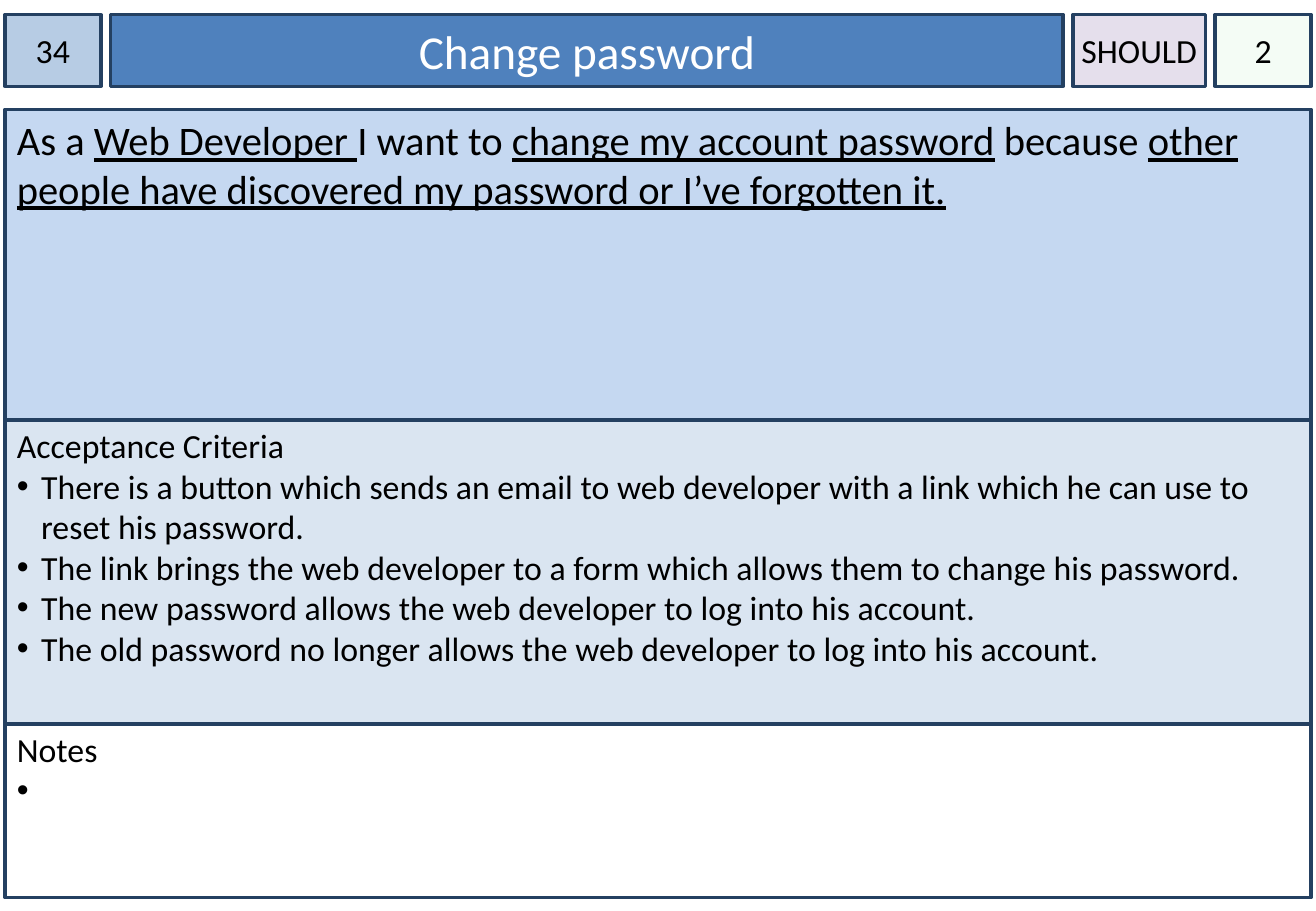
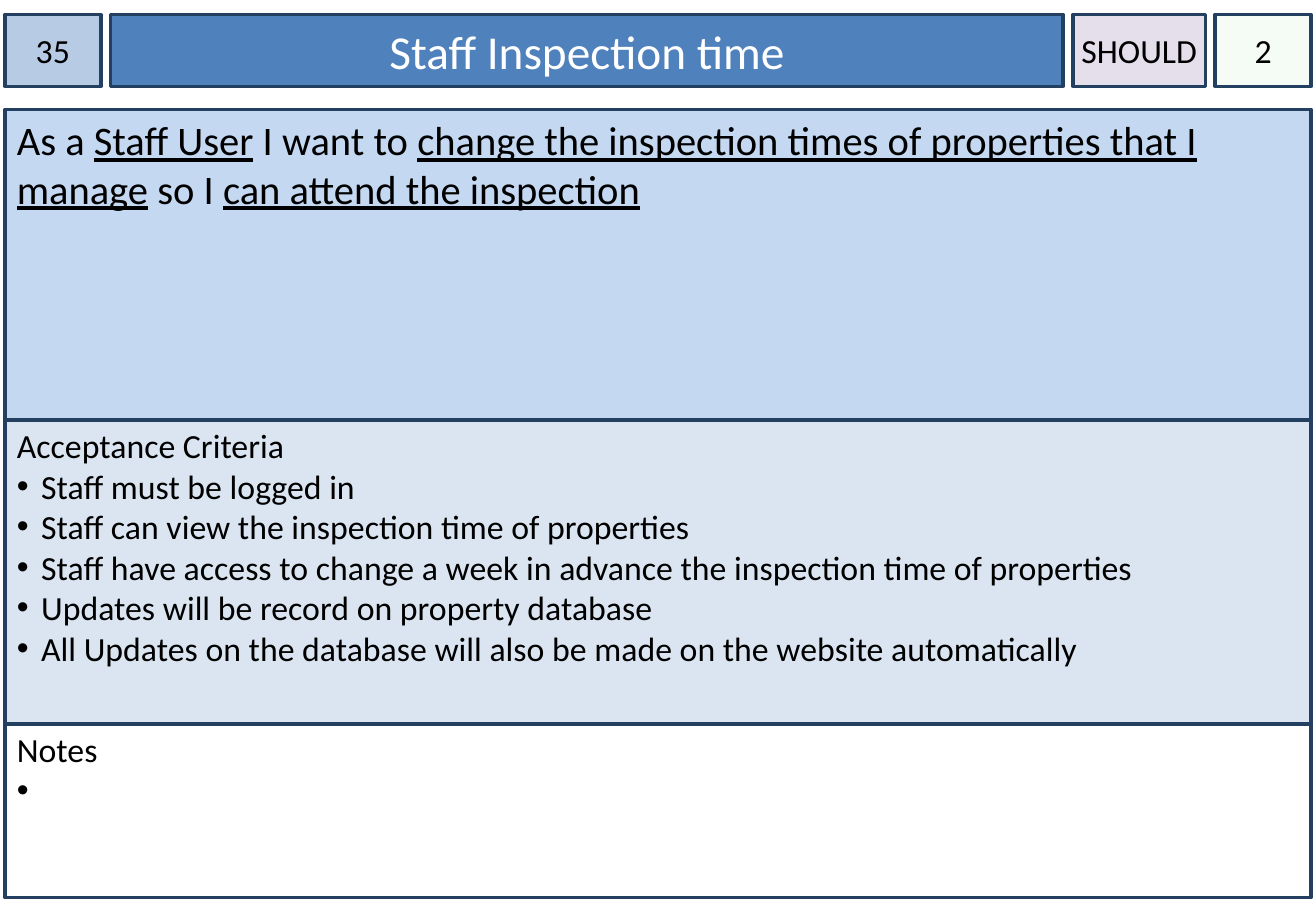
import pptx
import pptx.util
import pptx.dml.color
import pptx.enum.shapes
import pptx.enum.text
import pptx.oxml.ns
import lxml.etree

RGBColor = pptx.dml.color.RGBColor
BLACK = RGBColor(0x00, 0x00, 0x00)
WHITE = RGBColor(0xFF, 0xFF, 0xFF)
NAVY = RGBColor(0x24, 0x40, 0x61)
BLUE = RGBColor(0x4F, 0x81, 0xBD)
STEEL = RGBColor(0xB7, 0xCC, 0xE4)
SKY = RGBColor(0xC5, 0xD8, 0xF1)
PALE = RGBColor(0xDA, 0xE5, 0xF1)
LILAC = RGBColor(0xE5, 0xDF, 0xEC)
GREEN = RGBColor(0xCC, 0xF0, 0xCD)

FONT = "Calibri"
PX = 9144
EDGE, GAP = 4, 8
TOP, HIGH = 12, 59
BODY, WIDE = 90, 1075
PAD = 10

ALIGN = pptx.enum.text.PP_ALIGN
ANCHOR = pptx.enum.text.MSO_ANCHOR
qn = pptx.oxml.ns.qn

CARDS = [
    {
        "id": "34",
        "title": "Change password",
        "rank": "SHOULD",
        "points": "2",
        "story": ["As a ", "Web Developer ", "I want to ", "change my account password", " because ",
                  "other people have discovered my password or I’ve forgotten it."],
        "tests": ["There is a button which sends an email to web developer with a link "
                  "which he can use to reset his password.",
                  "The link brings the web developer to a form which allows them to change his password.",
                  "The new password allows the web developer to log into his account.",
                  "The old password no longer allows the web developer to log into his account."],
        "notes": [" "],
    },
    {
        "id": "35",
        "title": "Staff Inspection time",
        "rank": "SHOULD",
        "points": "2",
        "story": ["As a ", "Staff User", " I want to ",
                  "change the inspection times of properties that I manage", " so I ",
                  "can attend the inspection"],
        "tests": ["Staff must be logged in",
                  "Staff can view the inspection time of properties",
                  "Staff have access to change a week in advance the inspection time of properties",
                  "Updates will be record on property database",
                  "All Updates on the database will also be made on the website automatically"],
        "notes": [" "],
    },
]


def add_box(slide, left, top, width, height, fill, side, head, anchor):
    box = slide.shapes.add_shape(pptx.enum.shapes.MSO_SHAPE.RECTANGLE,
                                 left * PX, top * PX, width * PX, height * PX)
    box.shadow.inherit = False
    box.fill.solid()
    box.fill.fore_color.rgb = fill
    box.line.color.rgb = NAVY
    box.line.width = pptx.util.Pt(2)
    frame = box.text_frame
    frame.word_wrap = True
    frame.vertical_anchor = anchor
    frame.margin_left = frame.margin_right = side * PX
    frame.margin_top, frame.margin_bottom = head * PX, 5 * PX
    return box


def add_text(para, text, size, color=BLACK, align=ALIGN.LEFT, under=False):
    para.alignment = align
    run = para.add_run()
    run.text = text
    run.font.name = FONT
    run.font.size = pptx.util.Pt(size)
    run.font.color.rgb = color
    if under:
        run.font.underline = True


deck = pptx.Presentation()
deck.slide_width, deck.slide_height = 1083 * PX, 750 * PX

for card in CARDS:
    slide = deck.slides.add_slide(deck.slide_layouts[6])

    left = EDGE
    for key, width, fill, side, size, color in [
        ("id", 79, STEEL, 0, 20, BLACK),
        ("title", 784, BLUE, PAD, 28, WHITE),
        ("rank", 109, LILAC, 0, 20, BLACK),
        ("points", 79, GREEN, 0, 20, BLACK),
    ]:
        box = add_box(slide, left, TOP, width, HIGH, fill, side, 5, ANCHOR.MIDDLE)
        add_text(box.text_frame.paragraphs[0], card[key], size, color, ALIGN.CENTER)
        if key == "points":
            tint = box.fill._xPr.find(qn("a:solidFill")).find(qn("a:srgbClr"))
            lxml.etree.SubElement(tint, qn("a:alpha"), val="20000")
        left += width + GAP

    top = BODY
    for key, label, height, fill, head in [
        ("story", None, 256, SKY, 5),
        ("tests", "Acceptance Criteria", 250, PALE, 4),
        ("notes", "Notes", 143, WHITE, 4),
    ]:
        box = add_box(slide, EDGE, top, WIDE, height, fill, PAD, head, ANCHOR.TOP)
        top += height
        frame = box.text_frame
        first = frame.paragraphs[0]
        if label is None:
            for step, text in enumerate(card[key]):
                add_text(first, text, 24, under=step % 2 == 1)
            continue
        add_text(first, label, 20)
        for text in card[key]:
            para = frame.add_paragraph()
            add_text(para, text, 20)
            props = para._p.get_or_add_pPr()
            props.set("marL", str(20 * PX))
            props.set("indent", str(-20 * PX))
            tint = lxml.etree.SubElement(props, qn("a:buClr"))
            lxml.etree.SubElement(tint, qn("a:srgbClr"), val=str(BLACK))
            lxml.etree.SubElement(props, qn("a:buFont"), typeface="Arial")
            lxml.etree.SubElement(props, qn("a:buChar"), char="•")

deck.save("out.pptx")
